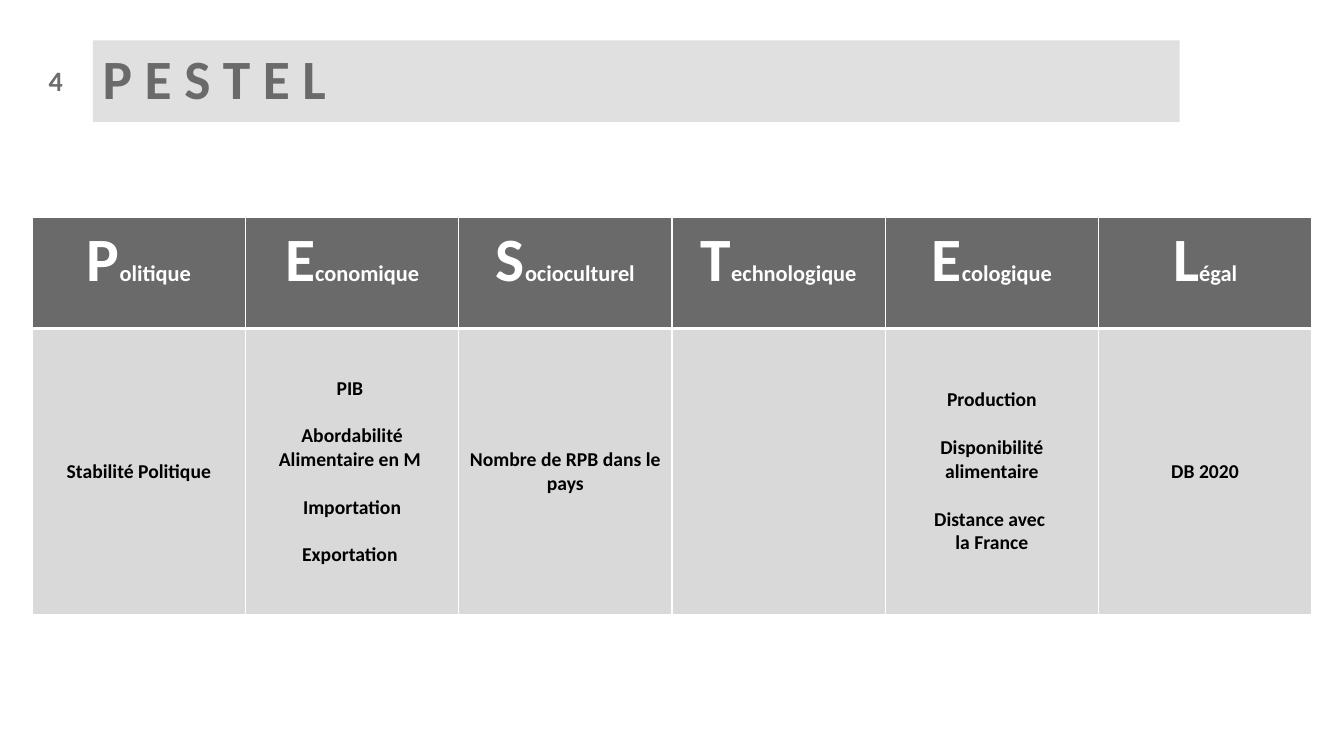
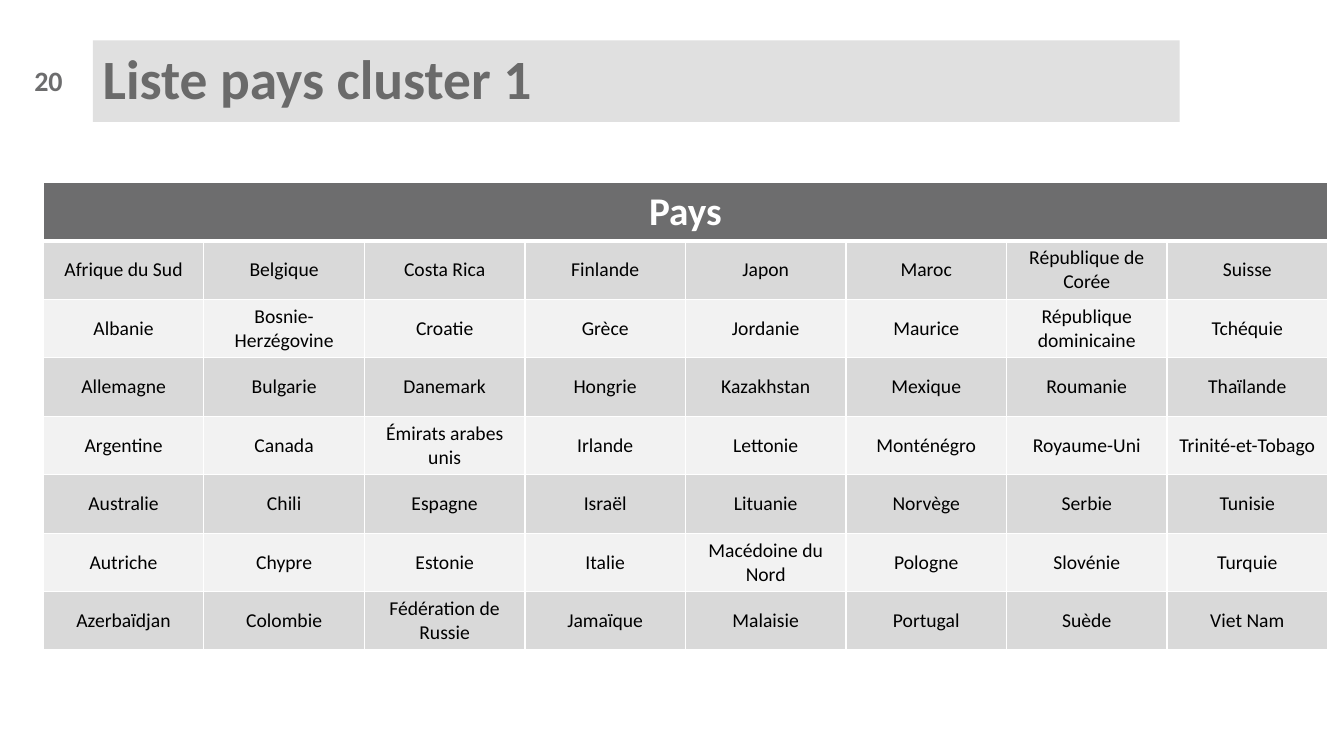
from lxml.etree import SubElement
from pptx import Presentation
from pptx.dml.color import RGBColor
from pptx.enum.shapes import MSO_SHAPE
from pptx.enum.text import MSO_ANCHOR, PP_ALIGN
from pptx.oxml.ns import qn
from pptx.util import Inches, Pt

FONT = "Calibri"
COLORS = {
    "white": "FFFFFF",
    "black": "000000",
    "title": "6A6A6A",
    "title_band": "E0E0E0",
    "number": "6D6D6E",
    "pestel_head": "6A6A6A",
    "country_head": "6D6D6E",
    "row_dark": "D9D9D9",
    "row_light": "F2F2F2",
}
RULE, HEAD_RULE = 1, 3  # points
FACTOR_GAP = 17  # points between the factors of one cell

# One list of factors per letter; a line feed keeps two lines together
PESTEL = [
    ("Politique", ["Stabilité Politique"]),
    ("Economique", ["PIB ", "Abordabilité Alimentaire en M ", "Importation", "Exportation "]),
    ("Socioculturel", ["Nombre de RPB dans le pays"]),
    ("Technologique", []),
    ("Ecologique", ["Production", "Disponibilité alimentaire", "Distance avec \nla France"]),
    ("Légal", ["DB 2020"]),
]

# Alphabetical, one list per column
COUNTRIES = [
    ["Afrique du Sud", "Albanie", "Allemagne", "Argentine", "Australie", "Autriche", "Azerbaïdjan"],
    ["Belgique", "Bosnie-Herzégovine", "Bulgarie", "Canada", "Chili", "Chypre", "Colombie"],
    ["Costa Rica", "Croatie", "Danemark", "Émirats arabes unis", "Espagne", "Estonie",
     "Fédération de Russie"],
    ["Finlande", "Grèce", "Hongrie", "Irlande", "Israël", "Italie", "Jamaïque"],
    ["Japon", "Jordanie", "Kazakhstan", "Lettonie", "Lituanie", "Macédoine du Nord", "Malaisie"],
    ["Maroc", "Maurice", "Mexique", "Monténégro", "Norvège", "Pologne", "Portugal"],
    ["République de Corée", "République dominicaine", "Roumanie", "Royaume-Uni", "Serbie",
     "Slovénie", "Suède"],
    ["Suisse", "Tchéquie", "Thaïlande", "Trinité-et-Tobago", "Tunisie", "Turquie", "Viet Nam"],
]


def rgb(name):
    return RGBColor.from_string(COLORS[name])


def write(frame, items, size=14, color="black", bold=False, align=PP_ALIGN.CENTER,
          gap=0, line_spacing=None, initial_size=None):
    """Write items as paragraphs, gap points apart; initial_size enlarges the first letter."""
    frame.word_wrap = True
    paragraph = None
    for item in items:
        for index, line in enumerate(item.split("\n")):
            is_first = paragraph is None
            paragraph = frame.paragraphs[0] if is_first else frame.add_paragraph()
            paragraph.alignment = align
            if line_spacing:
                paragraph.line_spacing = line_spacing
            if gap and index == 0 and not is_first:
                paragraph.space_before = Pt(gap)
            pieces = [(line, size)]
            if initial_size:
                pieces = [(line[0], initial_size), (line[1:], size)]
            for text, points in pieces:
                run = paragraph.add_run()
                run.text = text
                run.font.name = FONT
                run.font.size = Pt(points)
                run.font.bold = bold
                run.font.color.rgb = rgb(color)


def paint_cell(cell, fill, top=RULE, bottom=RULE):
    """Give a cell its white rules and its fill."""
    cell.fill.background()
    properties = cell._tc.get_or_add_tcPr()
    for child in list(properties):
        properties.remove(child)
    for edge, points in (("lnL", RULE), ("lnR", RULE), ("lnT", top), ("lnB", bottom)):
        line = SubElement(properties, qn(f"a:{edge}"), w=str(Pt(points)))
        solid = SubElement(line, qn("a:solidFill"))
        SubElement(solid, qn("a:srgbClr"), val=COLORS["white"])
    cell.fill.solid()
    cell.fill.fore_color.rgb = rgb(fill)


def add_grid(slide, left, top, width, row_heights, column_count, head_fill, body_fills):
    """Add a table with equal columns, a header row and alternating body fills."""
    grid = slide.shapes.add_table(len(row_heights), column_count, Inches(left), Inches(top),
                                  Inches(width), Inches(sum(row_heights))).table
    grid.horz_banding = False
    for column in grid.columns:
        column.width = Inches(width / column_count)
    for r, height in enumerate(row_heights):
        grid.rows[r].height = Inches(height)
        for cell in grid.rows[r].cells:
            if r == 0:
                paint_cell(cell, head_fill, bottom=HEAD_RULE)
            else:
                cell.vertical_anchor = MSO_ANCHOR.MIDDLE
                paint_cell(cell, body_fills[(r - 1) % len(body_fills)],
                           top=HEAD_RULE if r == 1 else RULE)
    return grid


def add_heading(slide, number, title, left=0.92, top=0.4, width=10.78, height=0.81):
    """Title band with the slide number on its left."""
    band = slide.shapes.add_shape(MSO_SHAPE.RECTANGLE, Inches(left), Inches(top),
                                  Inches(width), Inches(height))
    band.shadow.inherit = False
    band.fill.solid()
    band.fill.fore_color.rgb = rgb("title_band")
    band.line.fill.background()
    band.text_frame.vertical_anchor = MSO_ANCHOR.MIDDLE
    write(band.text_frame, [title], size=39.6, color="title", bold=True,
          align=PP_ALIGN.LEFT, line_spacing=0.9)

    page = slide.shapes.add_textbox(Inches(0), Inches(top + 0.2),
                                    Inches(left - 0.2), Inches(0.4))
    page.text_frame.vertical_anchor = MSO_ANCHOR.MIDDLE
    write(page.text_frame, [str(number)], size=20, color="number", bold=True,
          align=PP_ALIGN.RIGHT)


def add_pestel_table(slide, left, top, width):
    grid = add_grid(slide, left, top, width, [1.1, 2.84], len(PESTEL),
                    "pestel_head", ["row_dark"])
    for c, (heading, factors) in enumerate(PESTEL):
        write(grid.cell(0, c).text_frame, [heading], size=16, color="white", bold=True,
              initial_size=44)
        write(grid.cell(1, c).text_frame, factors, bold=True, gap=FACTOR_GAP)


def add_country_table(slide, left, top, width):
    row_count = len(COUNTRIES[0]) + 1
    grid = add_grid(slide, left, top, width, [0.58] * row_count, len(COUNTRIES),
                    "country_head", ["row_dark", "row_light"])
    # Header across all columns
    heading = grid.cell(0, 0)
    heading.merge(grid.cell(0, len(COUNTRIES) - 1))
    heading.vertical_anchor = MSO_ANCHOR.MIDDLE
    write(heading.text_frame, ["Pays"], size=28, color="white", bold=True)
    # Countries, column by column
    for c, names in enumerate(COUNTRIES):
        for r, country in enumerate(names, start=1):
            write(grid.cell(r, c).text_frame, [country])


def main():
    deck = Presentation()
    deck.slide_width, deck.slide_height = Inches(13.33), Inches(7.5)
    blank = deck.slide_layouts[6]

    # PESTEL factors
    pestel = deck.slides.add_slide(blank)
    add_heading(pestel, 4, "P E S T E L")
    add_pestel_table(pestel, 0.32, 2.16, 12.69)

    # Countries of the first cluster
    cluster = deck.slides.add_slide(blank)
    add_heading(cluster, 20, "Liste pays cluster 1")
    add_country_table(cluster, 0.43, 1.81, 12.74)

    deck.save("out.pptx")


if __name__ == "__main__":
    main()
